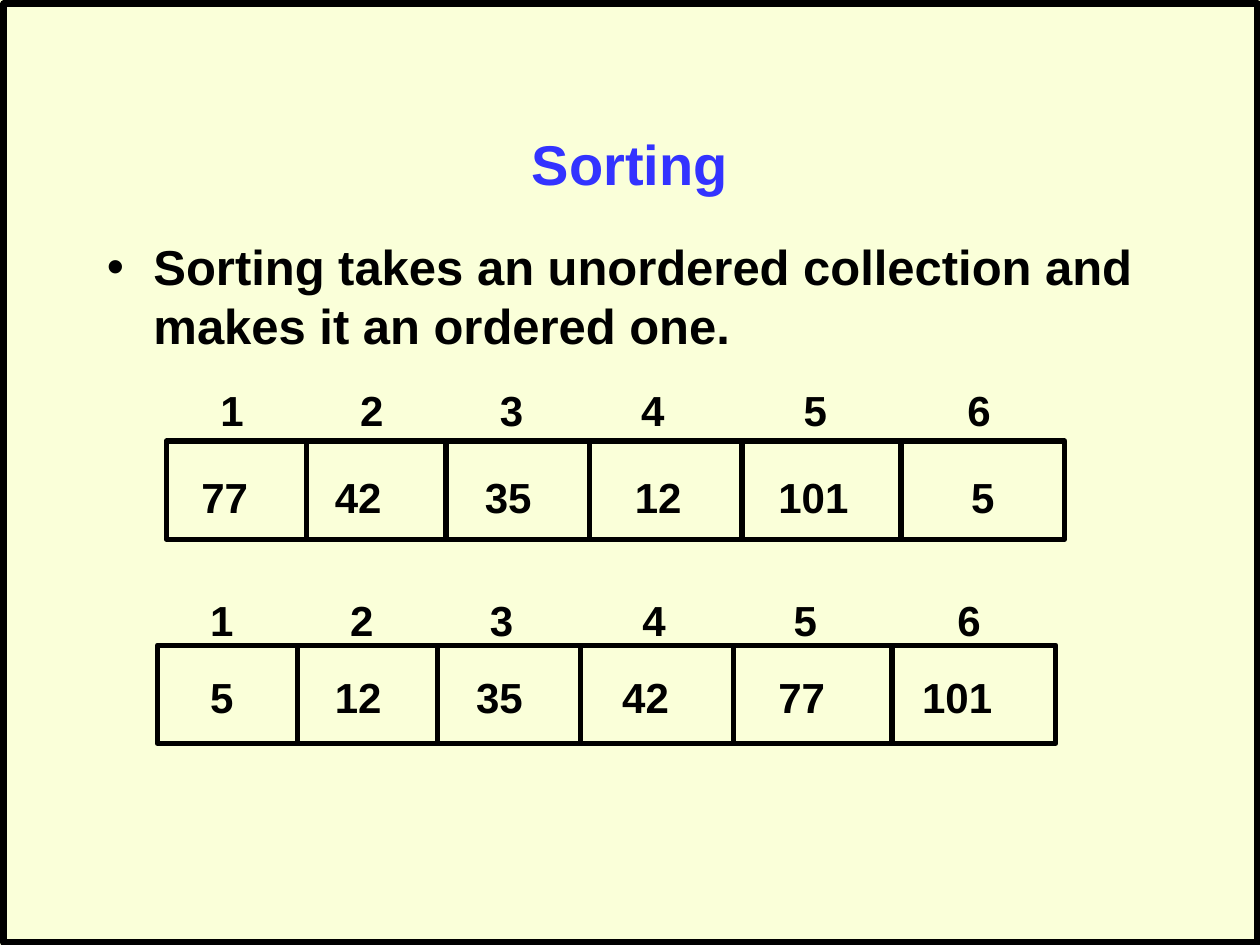
import pptx
import pptx.dml.color
import pptx.enum.shapes
import pptx.enum.text
import pptx.oxml
import pptx.oxml.ns
import pptx.util
from pptx.util import Inches

COLORS = {"paper": "FAFFD9", "ink": "000000", "title": "3333FF"}
FONT = "Arial"
ARRAY_WIDTH, ARRAY_HEIGHT = 7.13, 0.78
DIVIDERS = [1.11, 2.22, 3.36, 4.57, 5.83]
DIGIT_WIDTH = 0.185


def color(name):
    return pptx.dml.color.RGBColor.from_string(COLORS[name])


def add_xml(parent, tag, **attributes):
    element = pptx.oxml.parse_xml(f"<a:{tag} {pptx.oxml.ns.nsdecls('a')}/>")
    for key, value in attributes.items():
        element.set(key, str(value))
    parent.append(element)
    return element


def add_text(shapes, text, left, top, width, height, size=24, tint="ink", wrap=True):
    box = shapes.add_textbox(Inches(left), Inches(top), Inches(width), Inches(height))
    box.text_frame.word_wrap = wrap
    paragraph = box.text_frame.paragraphs[0]
    paragraph.text = text
    for run in paragraph.runs:
        run.font.name = FONT
        run.font.size = pptx.util.Pt(size)
        run.font.bold = True
        run.font.color.rgb = color(tint)
    return box


def add_outline(shapes, left, top, width, height, weight):
    outline = shapes.add_shape(
        pptx.enum.shapes.MSO_SHAPE.RECTANGLE,
        Inches(left), Inches(top), Inches(width), Inches(height))
    outline.shadow.inherit = False
    outline.fill.background()
    outline.line.color.rgb = color("ink")
    outline.line.width = pptx.util.Pt(weight)


def add_divider(shapes, x, top):
    divider = shapes.add_connector(
        pptx.enum.shapes.MSO_CONNECTOR.STRAIGHT,
        Inches(x), Inches(top), Inches(x), Inches(top + ARRAY_HEIGHT))
    divider.line.color.rgb = color("ink")
    divider.line.width = pptx.util.Pt(3)
    add_xml(divider._element.spPr, "effectLst")


def add_array(shapes, left, top, values, value_top):
    add_outline(shapes, left, top, ARRAY_WIDTH, ARRAY_HEIGHT, 3)
    for offset in DIVIDERS:
        add_divider(shapes, left + offset, top)
    for value, value_left in values:
        width = 0.2 + DIGIT_WIDTH * len(value)
        add_text(shapes, value, value_left, value_top, width, 0.5, wrap=False)


def add_indices(shapes, left, top, stops):
    indices = add_text(shapes, "1\t2\t3\t4\t5\t6", left, top, 6.4, 0.5)
    properties = indices.text_frame.paragraphs[0]._p.get_or_add_pPr()
    tabs = add_xml(properties, "tabLst")
    for stop in stops:
        add_xml(tabs, "tab", pos=Inches(stop), algn="l")


def add_title(shapes, text):
    title = add_text(shapes, text, 0.75, 0.67, 8.5, 1.25, size=32, tint="title")
    title.text_frame.vertical_anchor = pptx.enum.text.MSO_ANCHOR.MIDDLE
    title.text_frame.paragraphs[0].alignment = pptx.enum.text.PP_ALIGN.CENTER


def add_bullet(shapes, text):
    body = add_text(shapes, text, 0.75, 1.83, 8.5, 4.83, size=28)
    paragraph = body.text_frame.paragraphs[0]
    paragraph.space_before = pptx.util.Pt(7)
    properties = paragraph._p.get_or_add_pPr()
    properties.set("marL", str(Inches(0.37)))
    properties.set("indent", str(Inches(-0.37)))
    add_xml(properties, "buFont", typeface=FONT)
    add_xml(properties, "buChar", char="•")


def main():
    presentation = pptx.Presentation()
    presentation.slide_width, presentation.slide_height = Inches(10), Inches(7.5)
    slide = presentation.slides.add_slide(presentation.slide_layouts[6])
    slide.background.fill.solid()
    slide.background.fill.fore_color.rgb = color("paper")
    shapes = slide.shapes

    add_outline(shapes, 0.03, 0.03, 9.95, 7.45, 3.75)
    add_title(shapes, "Sorting")
    add_bullet(shapes, "Sorting takes an unordered collection and makes it an ordered one.")

    unsorted_values = [("77", 1.5), ("42", 2.56), ("35", 3.75),
                       ("12", 4.94), ("101", 6.08), ("5", 7.61)]
    sorted_values = [("5", 1.57), ("12", 2.56), ("35", 3.68),
                     ("42", 4.84), ("77", 6.08), ("101", 7.22)]
    add_array(shapes, 1.32, 3.5, unsorted_values, 3.69)
    add_indices(shapes, 1.57, 4.67, [1.11, 2.22, 3.43, 4.63, 5.93])
    add_array(shapes.add_group_shape().shapes, 1.25, 5.12, sorted_values, 5.28)
    add_indices(shapes, 1.65, 3, [1.11, 2.22, 3.34, 4.63, 5.93])

    presentation.save("out.pptx")


if __name__ == "__main__":
    main()
